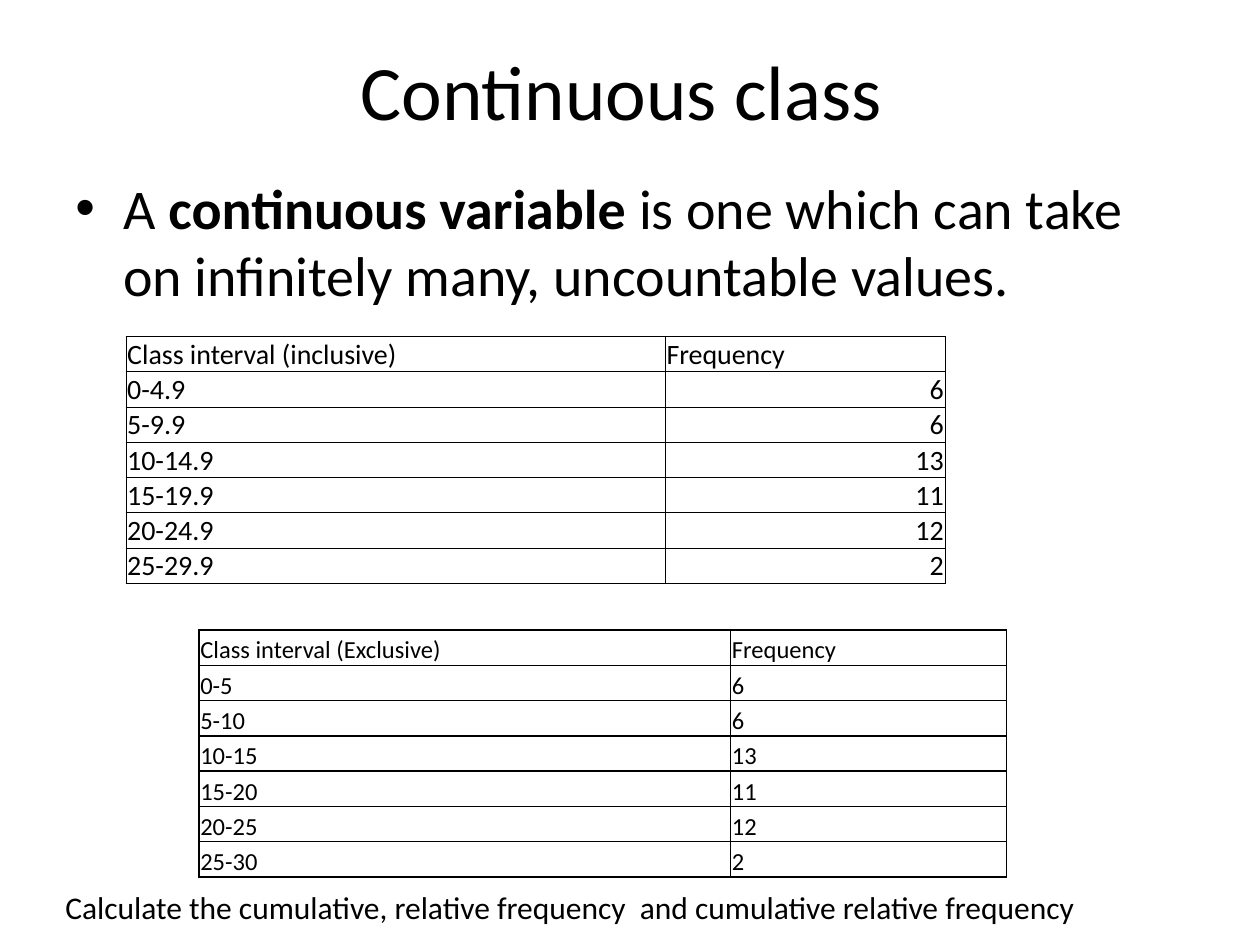
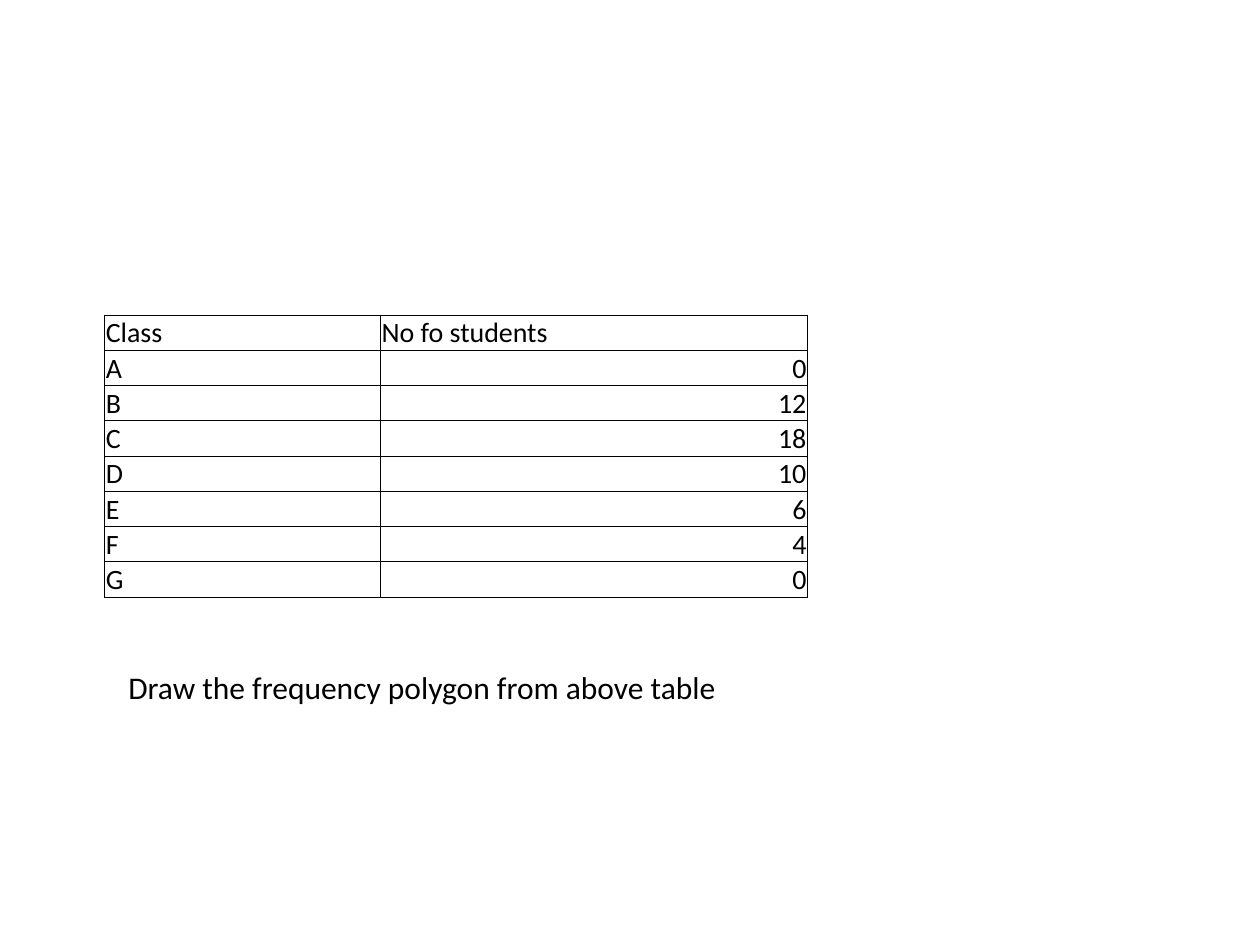
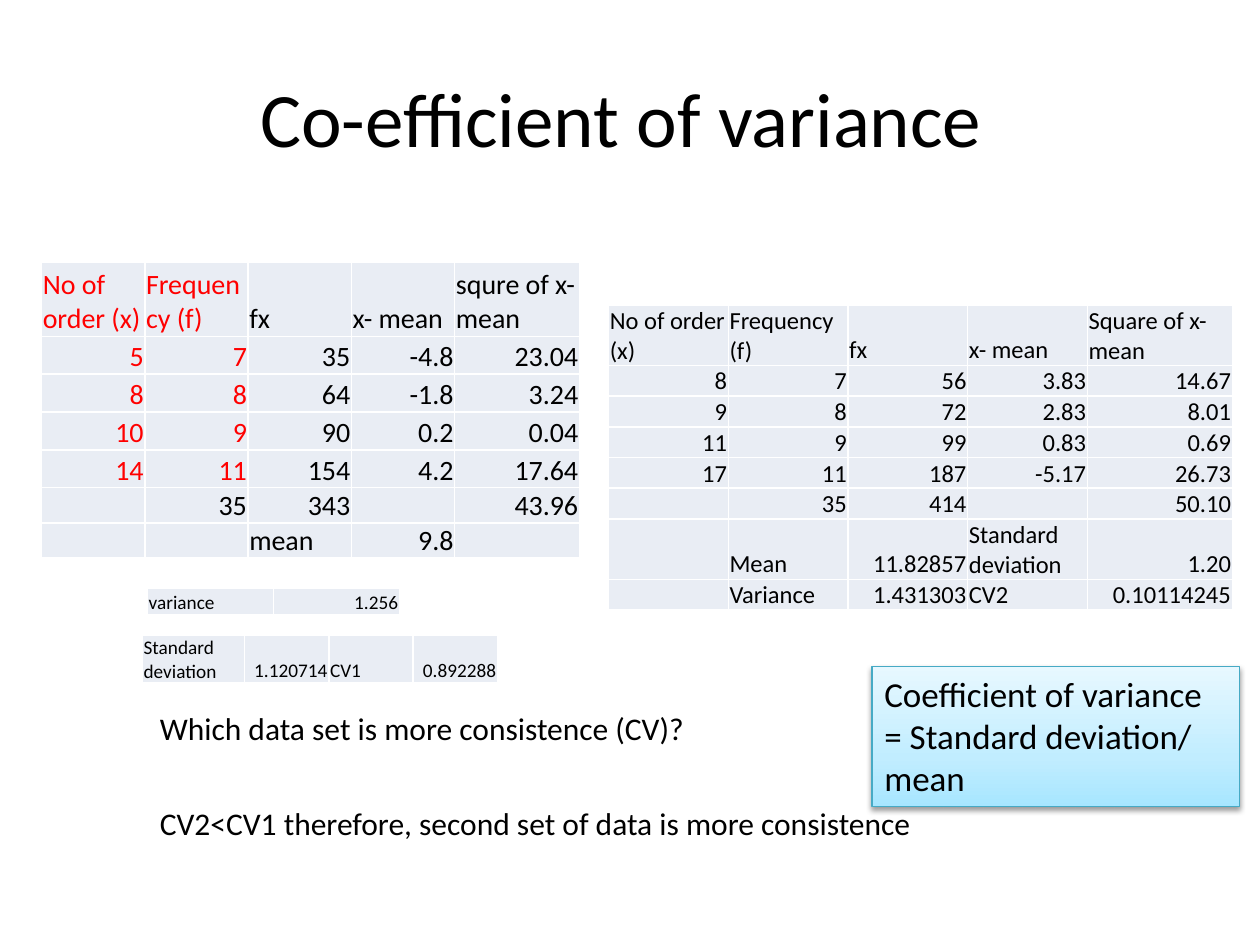
from copy import deepcopy

from lxml.etree import SubElement
from pptx import Presentation
from pptx.dml.color import RGBColor
from pptx.enum.shapes import MSO_SHAPE
from pptx.enum.text import MSO_ANCHOR, PP_ALIGN
from pptx.oxml.ns import qn
from pptx.util import Inches, Pt

COLORS = {
    "text": "000000",
    "accent": "FF0000",
    "white": "FFFFFF",
    "cell": "E9EDF4",
    "callout_line": "46AAC5",
    "callout_dark": "A7E6FF",
    "callout_mid": "C1EDFF",
    "callout_light": "E7F8FF",
}


def color(name):
    return RGBColor.from_string(COLORS[name])


def is_number(text):
    return text.lstrip("-").replace(".", "").isdigit()


class Deck:
    font = "Calibri"

    def __init__(self):
        self.prs = Presentation()
        self.prs.slide_width = Inches(10)
        self.prs.slide_height = Inches(7.5)

    def new_slide(self):
        self.s = self.prs.slides.add_slide(self.prs.slide_layouts[6])

    def run(self, p, text, size, ink="text", bold=False):
        r = p.add_run()
        r.text = text
        r.font.name = self.font
        r.font.size = Pt(size)
        r.font.bold = bold
        r.font.color.rgb = color(ink)

    def text(self, x, y, w, h, text, size=18, wrap=True):
        tf = self.s.shapes.add_textbox(Inches(x), Inches(y), Inches(w), Inches(h)).text_frame
        tf.word_wrap = wrap
        if text:
            self.run(tf.paragraphs[0], text, size)
        return tf

    def title(self, y, h, text):
        tf = self.text(0.5, y, 9, h, text, 44)
        tf.vertical_anchor = MSO_ANCHOR.MIDDLE
        tf.paragraphs[0].alignment = PP_ALIGN.CENTER

    def bullet(self, x, y, w, h, parts):
        p = self.text(x, y, w, h, "").paragraphs[0]
        p.space_before = Pt(6.4)
        for text, bold in parts:
            self.run(p, text, 32, bold=bold)
        pPr = p._p.get_or_add_pPr()
        pPr.set("marL", str(Inches(0.38)))
        pPr.set("indent", str(Inches(-0.38)))
        SubElement(pPr, qn("a:buFont"), typeface="Arial")
        SubElement(pPr, qn("a:buChar"), char="•")

    def border(self, cell, ink, width):
        tcPr = cell._tc.get_or_add_tcPr()
        for side in ("lnL", "lnR", "lnT", "lnB"):
            ln = SubElement(tcPr, qn(f"a:{side}"), w=str(Pt(width)))
            fill = SubElement(ln, qn("a:solidFill"))
            SubElement(fill, qn("a:srgbClr"), val=COLORS[ink])

    def table(self, x, y, widths, heights, rows, size, line=("white", 1), fill="cell",
              red=(0, 0), loose=False):
        tbl = self.s.shapes.add_table(len(rows), len(widths), Inches(x), Inches(y),
                                      Inches(sum(widths)), Inches(sum(heights))).table
        tbl.first_row = tbl.horz_banding = False
        for col, w in zip(tbl.columns, widths):
            col.width = Inches(w)
        for i, (row, h) in enumerate(zip(rows, heights)):
            tbl.rows[i].height = Inches(h)
            for j, text in enumerate(row):
                cell = tbl.cell(i, j)
                cell.margin_left = cell.margin_right = cell.margin_top = Inches(0.01)
                cell.margin_bottom = 0
                cell.vertical_anchor = MSO_ANCHOR.BOTTOM
                self.border(cell, *line)
                if fill:
                    cell.fill.solid()
                    cell.fill.fore_color.rgb = color(fill)
                else:
                    cell.fill.background()
                p = cell.text_frame.paragraphs[0]
                if loose:
                    p.line_spacing = 1.15
                    p.space_after = Pt(10)
                elif is_number(text):
                    p.alignment = PP_ALIGN.RIGHT
                if text:
                    self.run(p, text, size, "accent" if i < red[0] and j < red[1] else "text")
                else:
                    SubElement(p._p, qn("a:endParaRPr"), sz=str(size * 100))

    def callout(self, x, y, w, h, text):
        sp = self.s.shapes.add_shape(MSO_SHAPE.RECTANGLE, Inches(x), Inches(y),
                                     Inches(w), Inches(h))
        sp.shadow.inherit = False
        sp.line.color.rgb = color("callout_line")
        sp.line.width = Pt(0.75)
        sp.fill.gradient()
        sp.fill.gradient_angle = 90
        spPr = sp._element.spPr
        first = spPr.find(".//" + qn("a:gs"))
        first.addnext(deepcopy(first))
        stops = ((0, "callout_dark"), (0.35, "callout_mid"), (1, "callout_light"))
        for stop, (position, name) in zip(sp.fill.gradient_stops, stops):
            stop.position = position
            stop.color.rgb = color(name)
        shadow = SubElement(spPr.find(qn("a:effectLst")), qn("a:outerShdw"),
                            blurRad=str(Pt(3.1)), dist=str(Pt(1.6)), dir="5400000",
                            rotWithShape="0")
        tint = SubElement(shadow, qn("a:srgbClr"), val=COLORS["text"])
        SubElement(tint, qn("a:alpha"), val="38000")
        tf = sp.text_frame
        tf.word_wrap = True
        tf.vertical_anchor = MSO_ANCHOR.TOP
        p = tf.paragraphs[0]
        p.alignment = PP_ALIGN.LEFT
        self.run(p, text, 20)


def continuous_class(deck):
    deck.new_slide()
    deck.title(0.17, 1.08, "Continuous class ")
    deck.bullet(0.5, 1.33, 9, 1.17, [
        ("A ", False),
        ("continuous variable", True),
        (" is one which can take on infinitely many, uncountable values.", False),
    ])
    frequencies = ["6", "6", "13", "11", "12", "2"]
    starts = range(0, 30, 5)
    inclusive = [(f"{n}-{n + 4.9:.1f}", f) for n, f in zip(starts, frequencies)]
    exclusive = [(f"{n}-{n + 5}", f) for n, f in zip(starts, frequencies)]
    deck.table(1, 2.67, [4.28, 2.22], [0.28] * 7,
               [("Class interval (inclusive)", "Frequency")] + inclusive,
               16, ("text", 0.5), None)
    deck.table(1.58, 5, [4.22, 2.19], [0.28] * 7,
               [("Class interval (Exclusive)", "Frequency")] + exclusive,
               14, ("text", 1), None, loose=True)
    deck.text(0.42, 7, 8.32, 0.4,
              "Calculate the cumulative, relative frequency  and cumulative relative frequency",
              wrap=False)


def frequency_polygon(deck):
    deck.new_slide()
    students = ["0", "12", "18", "10", "6", "4", "0"]
    deck.table(0.83, 2.5, [2.19, 3.39], [0.28] * 8,
               [("Class", "No fo students")] + list(zip("ABCDEFG", students)),
               16, ("text", 0.5), None)
    deck.text(0.92, 5.25, 6.17, 0.4, "Draw the frequency polygon from above table")


def coefficient_of_variance(deck):
    deck.new_slide()
    deck.title(0.3, 1.25, "Co-efficient of variance ")
    deck.table(0.33, 2.08, [0.82] * 4 + [0.99], [0.59] + [0.3] * 4 + [0.28] * 2, [
        ("No of order (x)", "Frequency (f)", "fx", "x- mean", "squre of x-mean"),
        ("5", "7", "35", "-4.8", "23.04"),
        ("8", "8", "64", "-1.8", "3.24"),
        ("10", "9", "90", "0.2", "0.04"),
        ("14", "11", "154", "4.2", "17.64"),
        ("", "35", "343", "", "43.96"),
        ("", "", "mean", "9.8", ""),
    ], 16, red=(5, 2))
    deck.text(1.17, 5.58, 4.41, 0.4, "Which data set is more consistence (CV)?", wrap=False)
    deck.table(1.17, 4.67, [1, 1], [0.21], [("variance", "1.256")], 11)
    deck.table(1.13, 5.04, [0.81] + [0.67] * 3, [0.38],
               [("Standard deviation", "1.120714", "CV1", "0.892288")], 11)
    deck.table(4.83, 2.42, [0.95] * 4 + [1.15], [0.48] + [0.24] * 5 + [0.48, 0.24], [
        ("No of order (x)", "Frequency (f)", "fx", "x- mean", "Square of x- mean"),
        ("8", "7", "56", "3.83", "14.67"),
        ("9", "8", "72", "2.83", "8.01"),
        ("11", "9", "99", "0.83", "0.69"),
        ("17", "11", "187", "-5.17", "26.73"),
        ("", "35", "414", "", "50.10"),
        ("", "Mean", "11.82857", "Standard deviation", "1.20"),
        ("", "Variance", "1.431303", "CV2", "0.10114245"),
    ], 14)
    deck.text(1.17, 6.33, 6.92, 0.4,
              "CV2<CV1 therefore, second set of data is more consistence")
    deck.callout(6.92, 5.29, 2.92, 1.11, "Coefficient of variance = Standard deviation/ mean")


def main():
    deck = Deck()
    continuous_class(deck)
    frequency_polygon(deck)
    coefficient_of_variance(deck)
    deck.prs.save("out.pptx")


if __name__ == "__main__":
    main()
